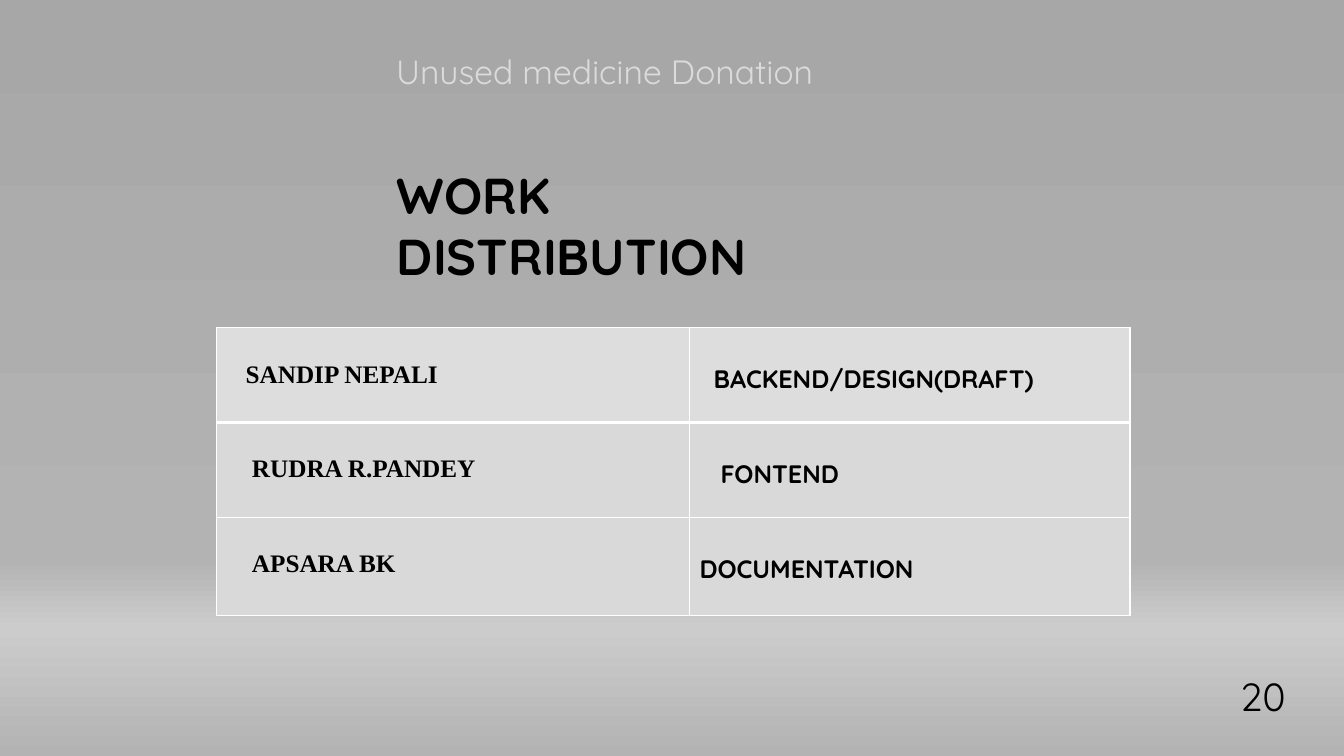
from lxml import etree
from pptx import Presentation
from pptx.dml.color import RGBColor
from pptx.enum.text import MSO_ANCHOR, PP_ALIGN
from pptx.oxml.ns import qn
from pptx.util import Pt

BOTTOM, TOP = MSO_ANCHOR.BOTTOM, MSO_ANCHOR.TOP
LEFT, CENTER = PP_ALIGN.LEFT, PP_ALIGN.CENTER

COLORS = {
    "text": "000000",
    "light": "FFFFFF",
    "first_row": "DDDDDD",
    "other_row": "D9D9D9",
}
BACKDROP = [(0, "A7A7A7"), (74, "B3B3B3"), (83, "CCCCCC"), (100, "B3B3B3")]
HEADING_FONT, NAME_FONT = "Quicksand", "Times New Roman"

COLUMN_WIDTHS = [337.7, 314.7]
ROW_HEIGHTS = [67.7, 67.7, 70]
# Each entry: name, its indent, task, its indent
ASSIGNMENTS = [
    ("SANDIP NEPALI", 20.7, "BACKEND/DESIGN(DRAFT)", 17.2),
    ("RUDRA R.PANDEY", 25.2, "FONTEND", 22.2),
    ("APSARA BK", 25.2, "DOCUMENTATION", 7.2),
]
NAME_DROP, TASK_DROP = 23.5, 25.5


def write(frame, text, *, size, font=HEADING_FONT, color="text", bold=False,
          align=LEFT, opacity=None):
    paragraph = frame.paragraphs[0]
    paragraph.alignment = align
    run = paragraph.add_run()
    run.text = text
    run.font.size = Pt(size)
    run.font.name = font
    run.font.bold = bold
    run.font.color.rgb = RGBColor.from_string(COLORS[color])
    if opacity is not None:
        for tint in run.font.fill._xPr.iter(qn("a:srgbClr")):
            etree.SubElement(tint, qn("a:alpha"), val=str(opacity * 1000))


def add_text(slide, box, text, *, anchor=TOP, indent=7.2, **style):
    frame = slide.shapes.add_textbox(*map(Pt, box)).text_frame
    frame.word_wrap = True
    frame.vertical_anchor = anchor
    frame.margin_left = Pt(indent)
    write(frame, text, **style)


def paint_background(slide):
    fill = slide.background.fill
    fill.gradient()
    fill.gradient_angle = 270  # counted anticlockwise: runs top to bottom
    stops = next(slide.element.iter(qn("a:gsLst")))
    for stop in list(stops):
        stops.remove(stop)
    for position, color in BACKDROP:
        stop = etree.SubElement(stops, qn("a:gs"), pos=str(position * 1000))
        etree.SubElement(stop, qn("a:srgbClr"), val=color)


def set_borders(cell, **widths):
    properties = cell._tc.get_or_add_tcPr()
    for index, side in enumerate("LRTB"):
        line = etree.Element(qn(f"a:ln{side}"), w=str(Pt(widths.get(side, 1))))
        solid = etree.SubElement(line, qn("a:solidFill"))
        etree.SubElement(solid, qn("a:srgbClr"), val=COLORS["light"])
        properties.insert(index, line)


def fill_cell(cell, text, *, indent, drop, fill, font, borders):
    cell.fill.solid()
    cell.fill.fore_color.rgb = RGBColor.from_string(COLORS[fill])
    cell.margin_left, cell.margin_top = Pt(indent), Pt(drop)
    write(cell.text_frame, text, size=18, font=font, bold=True)
    set_borders(cell, **borders)


def add_assignments(slide, left, top):
    size = (sum(COLUMN_WIDTHS), sum(ROW_HEIGHTS))
    table = slide.shapes.add_table(
        len(ASSIGNMENTS), len(COLUMN_WIDTHS), *map(Pt, (left, top, *size))).table
    table.first_row = table.horz_banding = False
    for column, width in zip(table.columns, COLUMN_WIDTHS):
        column.width = Pt(width)
    for row, height in zip(table.rows, ROW_HEIGHTS):
        row.height = Pt(height)

    # A thick rule parts the first row from the rest
    rules = {0: {"B": 3}, 1: {"T": 3}}
    for index, (name, name_indent, task, task_indent) in enumerate(ASSIGNMENTS):
        look = {"fill": "other_row" if index else "first_row",
                "borders": rules.get(index, {})}
        fill_cell(table.cell(index, 0), name, indent=name_indent,
                  drop=NAME_DROP, font=NAME_FONT, **look)
        fill_cell(table.cell(index, 1), task, indent=task_indent,
                  drop=TASK_DROP, font=HEADING_FONT, **look)


def main():
    deck = Presentation()
    deck.slide_width, deck.slide_height = Pt(960), Pt(540)
    slide = deck.slides.add_slide(deck.slide_layouts[6])
    paint_background(slide)

    # Project name and page number
    add_text(slide, (204.5, 36, 415.4, 32.4), "Unused medicine Donation",
             anchor=BOTTOM, indent=78.5, size=24, color="light", opacity=60)
    add_text(slide, (869, 457.2, 66.2, 60.5), "20",
             anchor=BOTTOM, size=28, align=CENTER)

    # Table of who does what, under its title
    add_assignments(slide, 154.8, 234)
    add_text(slide, (276.5, 113.8, 360, 51), "WORK DISTRIBUTION",
             size=36, bold=True)

    deck.save("out.pptx")


if __name__ == "__main__":
    main()
